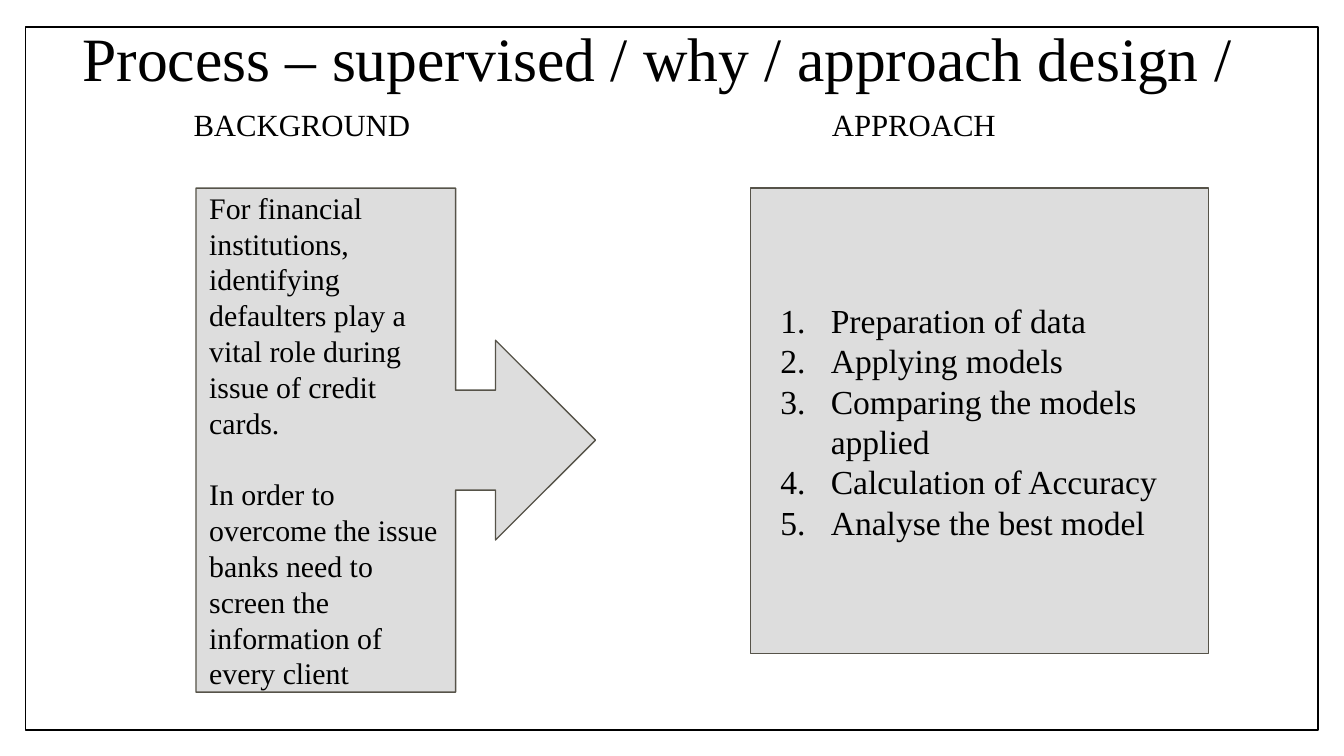
from lxml.etree import SubElement
from pptx import Presentation
from pptx.dml.color import RGBColor
from pptx.enum.shapes import MSO_SHAPE
from pptx.enum.text import MSO_ANCHOR, MSO_AUTO_SIZE, PP_ALIGN
from pptx.oxml.ns import qn
from pptx.util import Pt

BACKGROUND = [
    "For financial institutions, identifying defaulters play a vital role during issue of credit cards.",
    "In order to overcome the issue banks need to screen the information of every client",
]
APPROACH = [
    "Preparation of data",
    "Applying models",
    "Comparing the models applied",
    "Calculation of Accuracy",
    "Analyse the best model",
]


def color(value):
    return RGBColor.from_string(value)


def apply(target, values):
    for name, value in values.items():
        setattr(target, name, value)


class ProcessSlide:
    """Hold the style and the slide, and add each kind of element."""

    font = {"name": "Times New Roman"}
    ink, panel, outline = "000000", "DDDDDD", "565349"
    inset = Pt(7.2)

    def __init__(self, presentation):
        self.slide = presentation.slides.add_slide(presentation.slide_layouts[5])

    def add_text(self, shape, texts, size, frame_format=None, paragraph_format=None):
        frame = shape.text_frame
        margins = ("margin_left", "margin_top", "margin_right", "margin_bottom")
        apply(frame, dict.fromkeys(margins, self.inset))
        apply(frame, {"word_wrap": True, "auto_size": MSO_AUTO_SIZE.NONE,
                      "vertical_anchor": MSO_ANCHOR.MIDDLE, **(frame_format or {})})
        for index, text in enumerate(texts):
            paragraph = frame.add_paragraph() if index else frame.paragraphs[0]
            apply(paragraph, {"alignment": PP_ALIGN.LEFT, **(paragraph_format or {})})
            run = paragraph.add_run()
            run.text = text
            apply(run.font, {**self.font, "size": Pt(size)})
            run.font.color.rgb = color(self.ink)
        return frame.paragraphs

    def box(self, kind, bounds, fill, line, width):
        shape = self.slide.shapes.add_shape(kind, *map(Pt, bounds))
        shape.shadow.inherit = False
        shape.fill.solid()
        shape.fill.fore_color.rgb = color(fill)
        shape.line.color.rgb = color(line)
        shape.line.width = Pt(width)
        return shape

    def frame(self, bounds):
        border = self.box(MSO_SHAPE.RECTANGLE, bounds, "FFFFFF", self.ink, 1)
        self.slide.shapes.title.element.addprevious(border.element)

    def title(self, text, bounds):
        title = self.slide.shapes.title
        apply(title, dict(zip(("left", "top", "width", "height"), map(Pt, bounds))))
        self.add_text(title, [text], 33, {"margin_right": Pt(23)},
                      {"alignment": PP_ALIGN.CENTER, "line_spacing": 0.9})

    def headings(self, texts, bounds, indent, tab):
        shape = self.slide.shapes.add_textbox(*map(Pt, bounds))
        paragraphs = self.add_text(
            shape, ["\t".join(texts)], 16.5,
            {"vertical_anchor": MSO_ANCHOR.TOP, "margin_left": Pt(indent)},
            {"line_spacing": 0.9})
        properties = paragraphs[0]._p.get_or_add_pPr()
        tabs = SubElement(properties, qn("a:tabLst"))
        SubElement(tabs, qn("a:tab"), pos=str(Pt(tab)), algn="l")

    def callout(self, texts, bounds):
        shape = self.box(MSO_SHAPE.RIGHT_ARROW_CALLOUT, bounds, self.panel, self.outline, 0.75)
        for index, value in enumerate((0.25, 0.25, 0.25, 0.65)):
            shape.adjustments[index] = value
        paragraphs = self.add_text(shape, texts, 16)
        for paragraph in paragraphs[1:]:
            paragraph.space_before = Pt(19.2)

    def numbered_list(self, texts, bounds):
        shape = self.box(MSO_SHAPE.RECTANGLE, bounds, self.panel, self.outline, 0.75)
        for paragraph in self.add_text(shape, texts, 18):
            properties = paragraph._p.get_or_add_pPr()
            properties.set("marL", str(Pt(36)))
            properties.set("indent", str(Pt(-27)))
            SubElement(properties, qn("a:buFont"), typeface=self.font["name"])
            SubElement(properties, qn("a:buAutoNum"), type="arabicPeriod")


def main():
    presentation = Presentation()
    apply(presentation, {"slide_width": Pt(720), "slide_height": Pt(405)})
    process = ProcessSlide(presentation)
    process.frame((13.7, 14.4, 692.6, 376.6))
    process.title("Process – supervised / why / approach design /", (24.5, 7.9, 671, 49.7))
    process.headings(["BACKGROUND", "APPROACH"], (24.5, 51.8, 671, 352), 79.2, 342)
    process.callout(BACKGROUND, (105, 100.8, 214, 270))
    process.numbered_list(APPROACH, (402, 100.8, 245.3, 249.3))
    presentation.save("out.pptx")


if __name__ == "__main__":
    main()
